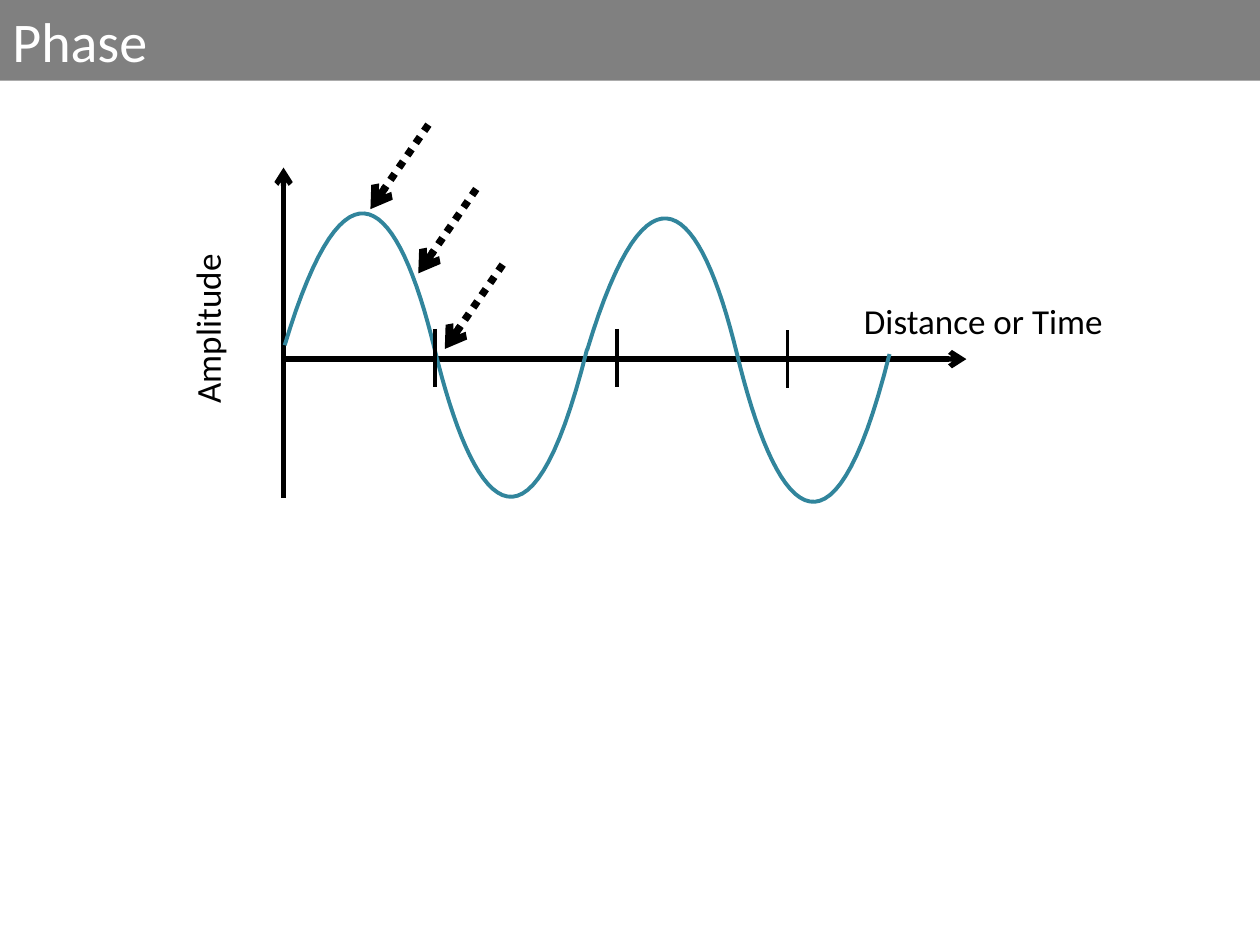
from lxml import etree
from pptx import Presentation
from pptx.dml.color import RGBColor
from pptx.enum.dml import MSO_LINE
from pptx.enum.shapes import MSO_CONNECTOR, MSO_SHAPE
from pptx.enum.text import MSO_ANCHOR, PP_ALIGN
from pptx.oxml.ns import qn
from pptx.util import Inches, Pt

STRAIGHT = MSO_CONNECTOR.STRAIGHT
RECTANGLE = MSO_SHAPE.RECTANGLE
DOTTED = MSO_LINE.ROUND_DOT
LEFT, CENTER = PP_ALIGN.LEFT, PP_ALIGN.CENTER
TOP, MIDDLE = MSO_ANCHOR.TOP, MSO_ANCHOR.MIDDLE
FONT = "Calibri"
COLORS = {"ink": "000000", "wave": "31859C", "banner": "808080", "title": "FFFFFF"}
CURVE_STEPS = 32


def rgb(name):
    return RGBColor.from_string(COLORS[name])


def write_text(shape, text, size, color, align, anchor):
    frame = shape.text_frame
    frame.word_wrap = True
    frame.vertical_anchor = anchor
    paragraph = frame.paragraphs[0]
    paragraph.alignment = align
    run = paragraph.add_run()
    run.text = text
    run.font.name = FONT
    run.font.size = Pt(size)
    run.font.color.rgb = rgb(color)


def add_label(slide, text, left, top, width, height, rotation=0):
    label = slide.shapes.add_textbox(
        Inches(left), Inches(top), Inches(width), Inches(height))
    label.rotation = rotation
    write_text(label, text, 20, "ink", CENTER, TOP)


def add_banner(slide, text):
    banner = slide.shapes.add_shape(RECTANGLE, 0, 0, Inches(10), Inches(0.64))
    banner.shadow.inherit = False
    banner.fill.solid()
    banner.fill.fore_color.rgb = rgb("banner")
    banner.line.fill.background()
    write_text(banner, text, 32, "title", LEFT, MIDDLE)


def add_line(slide, start, end, weight, arrow=False, dash=None):
    line = slide.shapes.add_connector(
        STRAIGHT, *(Inches(value) for value in (*start, *end)))
    line.line.color.rgb = rgb("ink")
    line.line.width = Pt(weight)
    if dash:
        line.line.dash_style = dash
    if arrow:
        etree.SubElement(line.line._get_or_add_ln(), qn("a:tailEnd"), type="arrow")
    etree.SubElement(line._element.spPr, qn("a:effectLst"))


def bezier_point(points, t):
    weights = ((1 - t) ** 3, 3 * t * (1 - t) ** 2, 3 * t ** 2 * (1 - t), t ** 3)
    return tuple(Inches(sum(w * p[axis] for w, p in zip(weights, points)))
                 for axis in (0, 1))


def add_wave(slide, left, top):
    offsets = [(0, 0), (0.49, -1.62), (0.9, -1.16), (1.19, 0.03),
               (1.48, 1.23), (1.93, 1.92), (2.4, 0.03)]
    controls = [(left + dx, top + dy) for dx, dy in offsets]
    trace = [bezier_point(controls[first:first + 4], step / CURVE_STEPS)
             for first in (0, 3) for step in range(1, CURVE_STEPS + 1)]
    builder = slide.shapes.build_freeform(Inches(left), Inches(top))
    builder.add_line_segments(trace, close=False)
    wave = builder.convert_to_shape()
    wave.shadow.inherit = False
    wave.fill.background()
    wave.line.color.rgb = rgb("wave")
    wave.line.width = Pt(2.25)


def main():
    deck = Presentation()
    deck.slide_width, deck.slide_height = Inches(10), Inches(7.5)
    slide = deck.slides.add_slide(deck.slide_layouts[6])

    add_line(slide, (2.25, 2.85), (7.67, 2.85), 3, arrow=True)
    add_line(slide, (2.25, 3.95), (2.25, 1.33), 3, arrow=True)
    add_label(slide, "Amplitude", 0.59, 2.22, 2.45, 0.78, rotation=270)

    for left, top in ((2.26, 2.74), (4.66, 2.78)):
        add_wave(slide, left, top)
    add_label(slide, "Distance or Time", 6.6, 2.33, 2.41, 0.44)

    for tick_x, tick_top in ((3.45, 2.61), (4.9, 2.61), (6.25, 2.62)):
        add_line(slide, (tick_x, tick_top), (tick_x, tick_top + 0.46), 2.25)
    for tip_x, tip_y in ((2.94, 1.66), (3.32, 2.17), (3.53, 2.77)):
        add_line(slide, (tip_x + 0.46, tip_y - 0.67), (tip_x, tip_y), 4.25,
                 arrow=True, dash=DOTTED)

    add_banner(slide, "Phase")
    deck.save("out.pptx")


if __name__ == "__main__":
    main()
